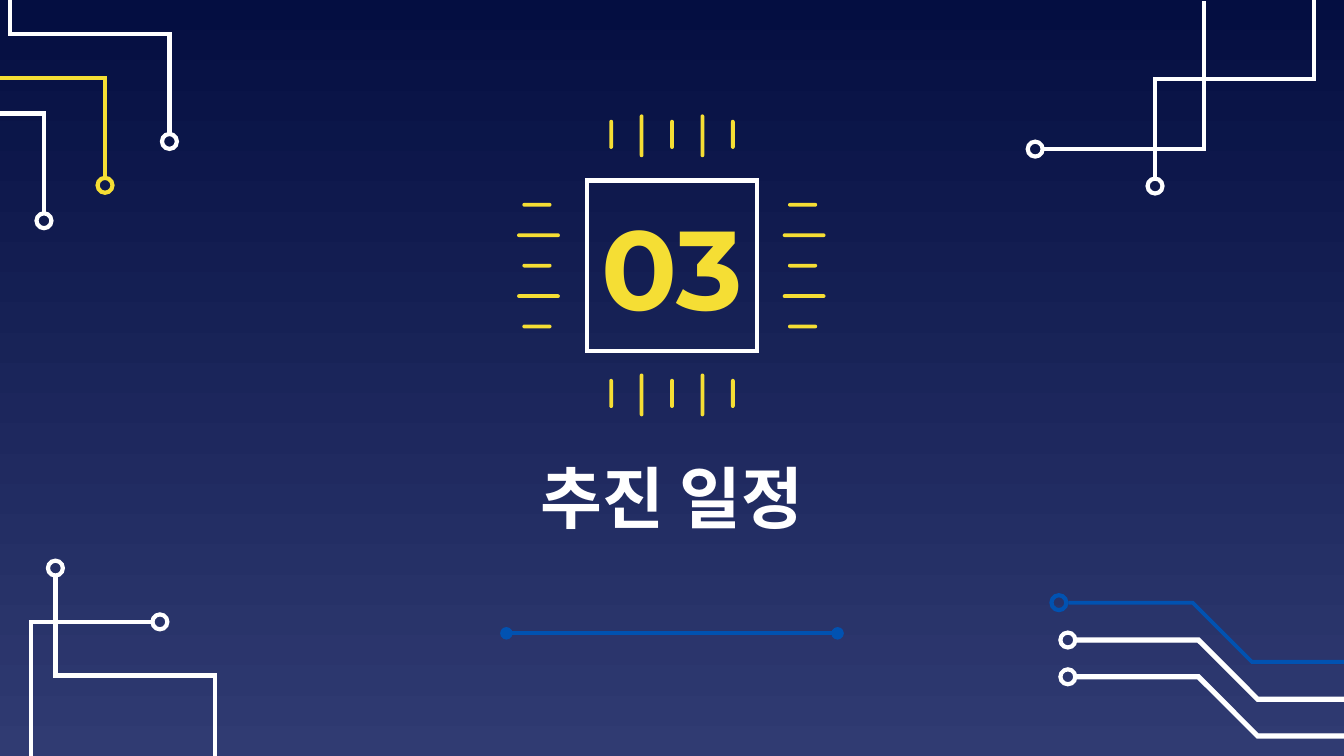
from lxml import etree
from pptx import Presentation
from pptx.dml.color import RGBColor
from pptx.enum.shapes import MSO_CONNECTOR, MSO_SHAPE
from pptx.enum.text import MSO_ANCHOR, PP_ALIGN
from pptx.oxml.ns import qn
from pptx.util import Pt

RECTANGLE, ROUNDED, OVAL = MSO_SHAPE.RECTANGLE, MSO_SHAPE.ROUNDED_RECTANGLE, MSO_SHAPE.OVAL
STRAIGHT = MSO_CONNECTOR.STRAIGHT
MIDDLE, CENTER = MSO_ANCHOR.MIDDLE, PP_ALIGN.CENTER

THEME = {
    "white": RGBColor.from_string("FFFFFF"),
    "yellow": RGBColor.from_string("F5DE34"),
    "blue": RGBColor.from_string("0152B1"),
    "night": RGBColor.from_string("040E41"),
    "dusk": RGBColor.from_string("303B72"),
    "title_size": Pt(36),
    "number_size": Pt(60),
    "title_font": "Noto Sans CJK KR",
    "number_font": "Montserrat",
    "stroke": Pt(2.25),
    "thin": Pt(0.75),
}

prs = Presentation()
prs.slide_width, prs.slide_height = Pt(720), Pt(405)
slide = prs.slides.add_slide(prs.slide_layouts[6])
shapes = slide.shapes

backdrop = slide.background.fill
backdrop.gradient()
backdrop.gradient_angle = 270
for stop, position, tone in zip(backdrop.gradient_stops, (0, 1), ("night", "dusk")):
    stop.position, stop.color.rgb = position, THEME[tone]


def outline(shape, color, width="stroke"):
    shape.shadow.inherit = False
    shape.fill.background()
    shape.line.color.rgb = THEME[color]
    shape.line.width = THEME[width]
    etree.SubElement(shape.line._ln, qn("a:miter")).set("lim", "800000")


def trace(points, close=False):
    start, *rest = [(Pt(x), Pt(y)) for x, y in points]
    builder = shapes.build_freeform(*start, scale=1.0)
    builder.add_line_segments(rest, close=close)
    return builder.convert_to_shape()


rings = []

BAND = [(0, 0), (67, 0), (98.6, 31.7), (151.2, 31.7),
        (151.2, 33.8), (98, 33.8), (66.2, 2.1), (0, 2.1)]
for left, top, ring_x, color in [(572.4, 321.9, 567.3, "blue"),
                                 (575.5, 341.9, 572.1, "white"),
                                 (575.5, 361.6, 572.1, "white")]:
    band = trace([(left + x, top + y) for x, y in BAND], close=True)
    outline(band, color, "thin")
    band.fill.solid()
    band.fill.fore_color.rgb = THEME[color]
    if color == "blue":
        band.line.fill.background()
    rings.append((ring_x, top + 1, color))

for x, y, across, down, color in [(29.7, 308.4, 1, 1, "white"),
                                  (618.8, 95.7, 1, -1, "white"),
                                  (23.6, 114.3, -1, -1, "white"),
                                  (56.3, 95.3, -1, -1, "yellow"),
                                  (90.8, 71.8, -1, -1, "white")]:
    bend_y, far_x = y + 53.5 * down, x + 85.3 * across
    outline(trace([(x, y), (x, bend_y), (far_x, bend_y), (far_x, bend_y + 49.5 * down)]), color)
    rings.append((x, y - 4 * down, color))

for start_x, corner_x, y, end_y, ring_x in [(81.4, 16.6, 333.2, 411, 85.7),
                                            (558.2, 645, 79.9, 0.7, 554.6)]:
    outline(trace([(start_x, y), (corner_x, y), (corner_x, end_y)]), "white")
    rings.append((ring_x, y, "white"))

RING = 8
for x, y, color in rings:
    outline(shapes.add_shape(OVAL, Pt(x - RING / 2), Pt(y - RING / 2), Pt(RING), Pt(RING)), color)

title = shapes.add_textbox(Pt(193), Pt(242), Pt(334), Pt(48.2))
chip = shapes.add_shape(RECTANGLE, Pt(314.5), Pt(96.7), Pt(91.2), Pt(91.2))
outline(chip, "white")

FRAME = {"vertical_anchor": MIDDLE, "margin_left": Pt(7.2), "margin_right": Pt(7.2),
         "margin_top": Pt(7.2), "margin_bottom": Pt(7.2)}
for holder, text, part, color, wrap in [(title, "추진 일정", "title", "white", True),
                                        (chip, "03", "number", "yellow", False)]:
    frame = holder.text_frame
    for name, value in {**FRAME, "word_wrap": wrap}.items():
        setattr(frame, name, value)
    paragraph = frame.paragraphs[0]
    paragraph.alignment = CENTER
    run = paragraph.add_run()
    run.text = text
    lettering = {"name": THEME[part + "_font"], "size": THEME[part + "_size"], "bold": True}
    for name, value in lettering.items():
        setattr(run.font, name, value)
    run.font.color.rgb = THEME[color]
    etree.SubElement(run.font._element, qn("a:ea")).set("typeface", THEME[part + "_font"])

underline = shapes.add_connector(STRAIGHT, Pt(271.3), Pt(339.3), Pt(448.7), Pt(339.3))
underline.line.color.rgb = THEME["blue"]
underline.line.width = THEME["stroke"]
for end in ("a:headEnd", "a:tailEnd"):
    etree.SubElement(underline.line._ln, qn(end)).set("type", "oval")
etree.SubElement(underline._element.spPr, qn("a:effectLst"))

PITCH, PIN_WIDTH = 16.3, 2
pins = []
for i in range(5):
    length, shift = (22.9, 0.8) if i % 2 else (15.6, 0)
    for side_x in (287.7, 430):
        pins.append((side_x + shift, 109.7 + i * PITCH, length, PIN_WIDTH))
    for side_y in (72, 210.8):
        pins.append((327.4 + i * PITCH, side_y + shift, PIN_WIDTH, length))

for x, y, width, height in pins:
    pin = shapes.add_shape(ROUNDED, Pt(x - width / 2), Pt(y - height / 2), Pt(width), Pt(height))
    pin.adjustments[0] = 0.5
    pin.shadow.inherit = False
    pin.fill.solid()
    pin.fill.fore_color.rgb = THEME["yellow"]
    pin.line.fill.background()

prs.save("out.pptx")
